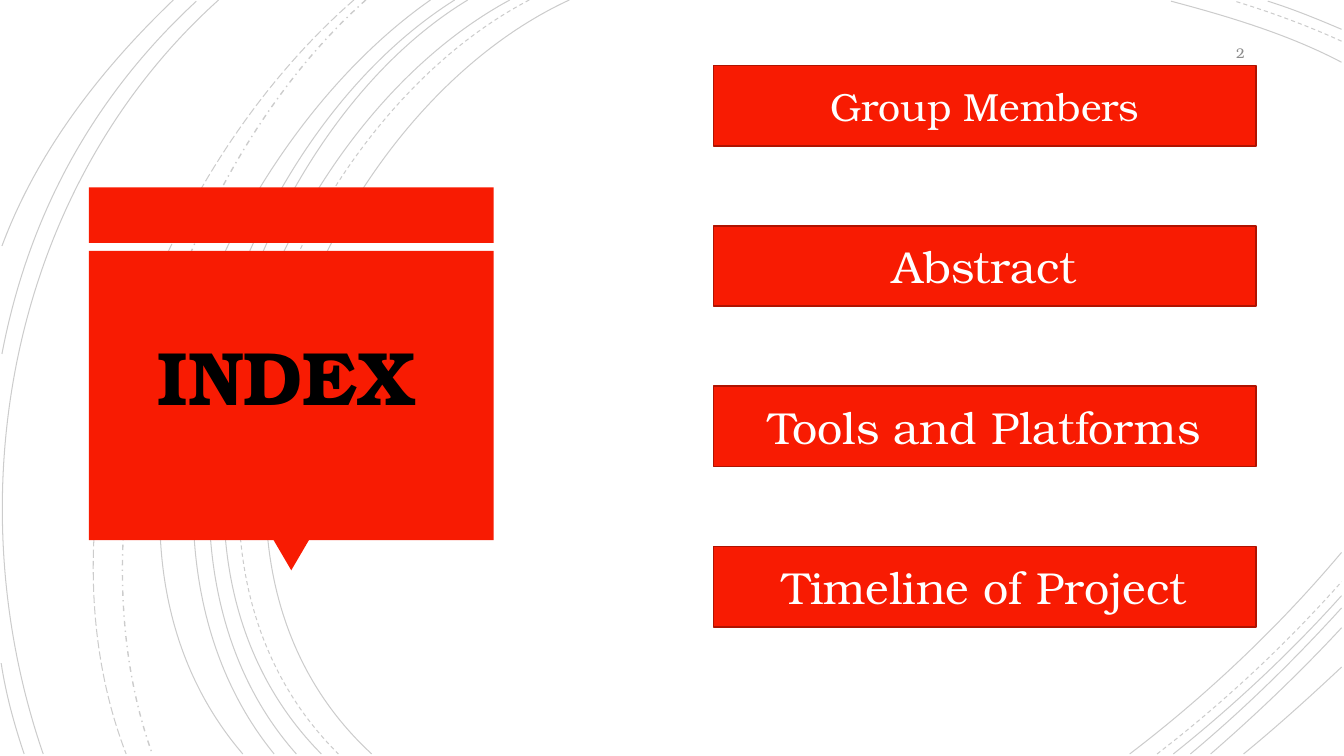
from lxml.etree import SubElement
from pptx import Presentation
from pptx.dml.color import RGBColor
from pptx.enum.dml import MSO_LINE
from pptx.enum.shapes import MSO_SHAPE
from pptx.enum.text import MSO_ANCHOR, MSO_AUTO_SIZE, PP_ALIGN
from pptx.oxml import parse_xml
from pptx.oxml.ns import nsdecls, qn
from pptx.util import Cm, Pt

COLORS = {
    "accent": "F81B02",
    "edge": "AF1301",
    "ink": "000000",
    "light": "FFFFFF",
    "muted": "8C8C8C",
}
FONT = "TeX Gyre Bonum"
BOTTOM = 19
RIGHT = 33.81
SOLID, DASH = MSO_LINE.SOLID, MSO_LINE.DASH

LONG_ARCS = [
    (14.35, (8, 2.92), (3.63, 13.72), 9.37, SOLID),
    (13.34, (7.24, 3.18), (3.12, 13.64), 8.53, DASH),
    (12.85, (6.86, 3.23), (2.79, 13.64), 8.1, SOLID),
    (11.79, (6.2, 3.38), (2.79, 13.74), 7.47, SOLID),
    (11.46, (5.87, 3.51), (2.46, 13.54), 6.91, SOLID),
    (10.85, (5.51, 3.73), (1.35, 13.44), 6.12, SOLID),
    (9.22, (4.47, 4.22), (1.65, 12.93), 3.84, MSO_LINE.DASH_DOT),
    (8.92, (3.99, 4.29), (0.74, 12.67), 3.18, MSO_LINE.LONG_DASH),
    (5.51, (0.28, 4.7), (-1.17, 12.45), 1.09, SOLID),
]
LEFT_EDGE_ARCS = [
    ((4.95, 0.03), (2.34, 2.44), (0.71, 5.44), (0.05, 8.92)),
    ((0.03, 16.71), (0.15, 17.5), (0.36, 18.26), (0.61, BOTTOM)),
    ((4.37, 0), (2.54, 1.75), (0.94, 3.81), (0.05, 6.2)),
]
TOP_RIGHT_ARCS = [
    (1.57, (32.46, 0.86), (30.94, 0.41), 29.51, SOLID),
    (1.04, (32.94, 0.64), (32, 0.3), 31.12, DASH),
    (0.74, (33.2, 0.48), (32.59, 0.23), 31.95, SOLID),
]
BOTTOM_RIGHT_ARCS = [
    (28.47, (30.4, 17.53), (32.23, 15.8), 13.92, SOLID),
    (29.16, (30.81, 17.73), (32.39, 16.26), 14.66, DASH),
    (29.57, (31.06, 17.81), (32.51, 16.46), 15.01, SOLID),
    (30, (31.34, 17.88), (32.61, 16.64), 15.32, SOLID),
    (30.51, (31.65, 18.01), (32.77, 16.94), 15.82, SOLID),
    (31.34, (32.18, 18.31), (32.99, 17.58), 16.81, SOLID),
]
TOPICS = [
    ("Group Members", 28),
    ("Abstract", 32),
    ("Tools and Platforms", 32),
    ("Timeline of Project", 32),
]


def color(name):
    return RGBColor.from_string(COLORS[name])


def add_arc(slide, points, dash=SOLID):
    start, *rest = [(Cm(x), Cm(y)) for x, y in points]
    builder = slide.shapes.build_freeform(*start)
    builder.add_line_segments(rest, close=False)
    arc = builder.convert_to_shape()
    arc.shadow.inherit = False
    arc.fill.background()
    arc.line.width = Pt(1 if dash == MSO_LINE.DASH_DOT else 0.75)
    arc.line.color.rgb = color("ink")
    arc.line.dash_style = dash
    tint = arc.line._ln.find(".//" + qn("a:srgbClr"))
    SubElement(tint, qn("a:alpha"), val="20000")
    outline = arc._element.find(".//" + qn("a:path"))
    curve = SubElement(outline, qn("a:cubicBezTo"))
    for segment in outline.findall(qn("a:lnTo")):
        curve.append(segment[0])
        outline.remove(segment)


def add_background_arcs(slide):
    for start_x, bend, sweep, end_x, dash in LONG_ARCS:
        add_arc(slide, [(start_x, 0), bend, sweep, (end_x, BOTTOM)], dash)
    for points in LEFT_EDGE_ARCS:
        add_arc(slide, points)
    for start_y, bend, sweep, end_x, dash in TOP_RIGHT_ARCS:
        add_arc(slide, [(RIGHT, start_y), bend, sweep, (end_x, 0.03)], dash)
    for start_x, bend, sweep, end_y, dash in BOTTOM_RIGHT_ARCS:
        add_arc(slide, [(start_x, BOTTOM), bend, sweep, (RIGHT, end_y)], dash)


def add_block(slide, preset, left, top, width, height):
    block = slide.shapes.add_shape(preset, left, top, width, height)
    block.shadow.inherit = False
    block.fill.solid()
    block.fill.fore_color.rgb = color("accent")
    block.line.fill.background()
    return block


def add_words(frame, words, size, tone, align, bold=False):
    paragraph = frame.paragraphs[0]
    paragraph.alignment = align
    run = paragraph.add_run()
    run.text = words
    run.font.name = FONT
    run.font.size = Pt(size)
    run.font.bold = bold
    run.font.color.rgb = color(tone)
    return run


def add_title_card(slide, left, top, width, height):
    band, gap = Cm(1.4), Cm(0.2)
    tip_width, tip_height = Cm(0.89), Cm(0.76)
    body_top = top + band + gap
    body_bottom = top + height - tip_height
    add_block(slide, MSO_SHAPE.RECTANGLE, left, top, width, band)
    tip = add_block(slide, MSO_SHAPE.ISOSCELES_TRIANGLE,
                    left + (width - tip_width) // 2, body_bottom, tip_width, tip_height)
    tip.rotation = 180
    add_block(slide, MSO_SHAPE.RECTANGLE, left, body_top, width, body_bottom - body_top)

    heading = slide.shapes.add_textbox(left + Cm(1.44), top + Cm(3.48), Cm(7.11), Cm(2.57))
    heading.text_frame.word_wrap = False
    heading.text_frame.auto_size = MSO_AUTO_SIZE.SHAPE_TO_FIT_TEXT
    index = add_words(heading.text_frame, "INDEX", 54, "ink", PP_ALIGN.CENTER, bold=True)
    index.font._element.insert(0, parse_xml(
        f'<a:ln {nsdecls("a")} w="{Pt(0.75)}"><a:solidFill>'
        f'<a:srgbClr val="{COLORS["light"]}"/></a:solidFill></a:ln>'))


def add_topics(slide, left, top, width, height):
    button_height = Cm(2.03)
    pitch = (height - button_height) // (len(TOPICS) - 1)
    for row, (topic, size) in enumerate(TOPICS):
        button = add_block(slide, MSO_SHAPE.RECTANGLE,
                           left, top + row * pitch, width, button_height)
        button.line.color.rgb = color("edge")
        button.line.width = Pt(1.25)
        button.text_frame.word_wrap = True
        button.text_frame.vertical_anchor = MSO_ANCHOR.MIDDLE
        add_words(button.text_frame, topic, size, "light", PP_ALIGN.CENTER)


def add_page_number(slide, left, top, width, height):
    number = slide.shapes.add_textbox(left, top, width, height)
    number.text_frame.word_wrap = True
    number.text_frame.vertical_anchor = MSO_ANCHOR.MIDDLE
    add_words(number.text_frame, "2", 10, "muted", PP_ALIGN.RIGHT)


def main():
    deck = Presentation()
    deck.slide_width, deck.slide_height = Cm(33.87), Cm(19.05)
    slide = deck.slides.add_slide(deck.slide_layouts[6])
    slide.background.fill.solid()
    slide.background.fill.fore_color.rgb = color("light")
    add_background_arcs(slide)
    add_title_card(slide, Cm(2.24), Cm(4.72), Cm(10.2), Cm(9.65))
    add_topics(slide, Cm(17.98), Cm(1.65), Cm(13.67), Cm(14.15))
    add_page_number(slide, Cm(29.08), Cm(0.89), Cm(2.54), Cm(0.89))
    deck.save("out.pptx")


if __name__ == "__main__":
    main()
